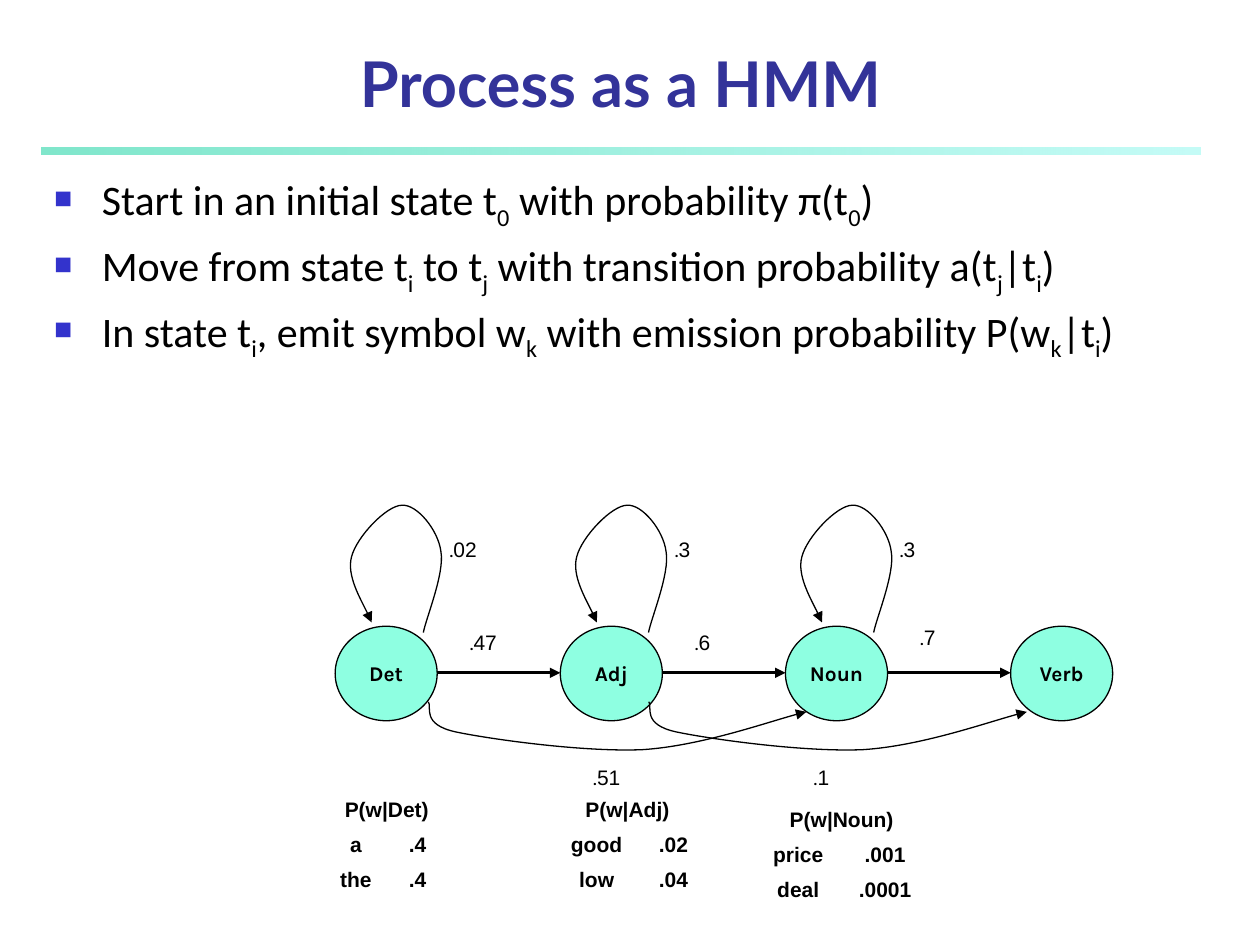
import pptx
import pptx.util
import pptx.dml.color
import pptx.enum.dml
import pptx.enum.shapes
import pptx.enum.text
import pptx.oxml.ns
from lxml import etree

RGBColor = pptx.dml.color.RGBColor
BLACK = RGBColor(0, 0, 0)
TITLE_BLUE = RGBColor(0x33, 0x33, 0x99)
MINT = RGBColor(0x8E, 0xFF, 0xE1)
RULE_COLOURS = [RGBColor(0x00, 0xCE, 0x98), RGBColor(0x8F, 0xF9, 0xEF)]
BULLET_BLUE = RGBColor(0x33, 0x33, 0xCC)
CENTER = pptx.enum.text.PP_ALIGN.CENTER
MIDDLE = pptx.enum.text.MSO_ANCHOR.MIDDLE
SHAPES = pptx.enum.shapes.MSO_SHAPE
qn = pptx.oxml.ns.qn

deck = pptx.Presentation()
deck.slide_width = pptx.util.Inches(10)
deck.slide_height = pptx.util.Inches(7.5)
slide = deck.slides.add_slide(deck.slide_layouts[6])
shapes = slide.shapes
COLUMN = deck.slide_width / 100
ROW = deck.slide_height / 75


def grid(*values):
    return [int(value * (ROW if i % 2 else COLUMN)) for i, value in enumerate(values)]


def add_curve(left, points):
    corners = [tuple(grid(left + x, y)) for x, y in points]
    builder = shapes.build_freeform(*corners[0], scale=1.0)
    builder.add_line_segments(corners[1:], close=False)
    curve = builder.convert_to_shape()
    curve.fill.background()
    outline = next(curve._element.iter(qn("a:path")))
    segments = outline.findall(qn("a:lnTo"))
    for i in range(0, len(segments), 3):
        bezier = etree.SubElement(outline, qn("a:cubicBezTo"))
        for segment in segments[i:i + 3]:
            bezier.append(segment[0])
            outline.remove(segment)
    return curve


rule = shapes.add_shape(SHAPES.RECTANGLE, *grid(3.3, 11.7, 92, 0.6))
rule.shadow.inherit = False
rule.line.fill.background()
rule.fill.gradient()
rule.fill.gradient_angle = 0
for stop, colour, opacity in zip(rule.fill.gradient_stops, RULE_COLOURS, (50, 52)):
    stop.color.rgb = colour
for colour_xml, opacity in zip(rule._element.spPr.iter(qn("a:srgbClr")), (50, 52)):
    etree.SubElement(colour_xml, qn("a:alpha"), val=str(opacity * 1000))

title = shapes.add_textbox(*grid(3.3, 3.3, 91.9, 6.7)).text_frame
title.word_wrap = True
title.vertical_anchor = pptx.enum.text.MSO_ANCHOR.BOTTOM
heading = title.paragraphs[0]
heading.text = "Process as a HMM"
heading.alignment = CENTER
heading.font.name, heading.font.size, heading.font.bold = "Lato", pptx.util.Pt(36), True
heading.font.color.rgb = TITLE_BLUE

steps = [
    "Start in an initial state t_0_ with probability π(t_0_)",
    "Move from state t_i_ to t_j_ with transition probability a(t_j_|t_i_)",
    "In state t_i_, emit symbol w_k_ with emission probability P(w_k_|t_i_)",
]
body = shapes.add_textbox(*grid(3.3, 13.3, 92.5, 57.5)).text_frame
body.word_wrap = True
for i, step in enumerate(steps):
    paragraph = body.add_paragraph() if i else body.paragraphs[0]
    paragraph.space_before = pptx.util.Pt(4.8)
    properties = paragraph._p.get_or_add_pPr()
    properties.set("marL", str(int(3.8 * COLUMN)))
    properties.set("indent", str(int(-3.8 * COLUMN)))
    bullet_colour = etree.SubElement(properties, qn("a:buClr"))
    etree.SubElement(bullet_colour, qn("a:srgbClr"), val=str(BULLET_BLUE))
    etree.SubElement(properties, qn("a:buSzPct"), val="60000")
    etree.SubElement(properties, qn("a:buChar"), char="■")
    paragraph.font.name, paragraph.font.size = "Calibri", pptx.util.Pt(24)
    paragraph.font.color.rgb = BLACK
    for j, part in enumerate(step.split("_")):
        run = paragraph.add_run()
        run.text = part
        if j % 2:
            run.font._element.set("baseline", "-25000")

FIRST_STATE, STATE_PITCH = 26.6, 17.87
STATE_TOP, STATE_WIDTH, STATE_HEIGHT = 49.7, 8.1, 7.5
LOOP = [(7, 50.2), (7.2, 49.1), (8.7, 45.5), (8.4, 43.8), (8.2, 42.1), (6.5, 40),
        (5.3, 40.1), (4.1, 40.1), (1.7, 42.6), (1.3, 44.2), (0.9, 45.7), (2.6, 48.6), (2.9, 49.4)]
SKIP = [(7.4, 55.7), (7.7, 56.1), (6.8, 57.5), (9.6, 58.1), (12.5, 58.7), (19.8, 59.7),
        (24.4, 59.5), (29, 59.2), (35.2, 57), (37.4, 56.5)]
states = [("Det", "02", "47", 49.5), ("Adj", "3", "6", 49.5), ("Noun", "3", "7", 49.1), ("Verb", "", "", 0)]
arrows = []
probabilities = []
for i, (state, stay, move, move_top) in enumerate(states):
    left = FIRST_STATE + i * STATE_PITCH
    right = left + STATE_WIDTH
    node = shapes.add_shape(SHAPES.OVAL, *grid(left, STATE_TOP, STATE_WIDTH, STATE_HEIGHT))
    node.shadow.inherit = False
    node.fill.solid()
    node.fill.fore_color.rgb = MINT
    node.line.color.rgb = BLACK
    node.line.width = pptx.util.Pt(0.75)
    node.text_frame.word_wrap = False
    node.text_frame.vertical_anchor = MIDDLE
    name = node.text_frame.paragraphs[0]
    name.text = state
    name.alignment = CENTER
    name.font.name, name.font.size, name.font.bold = "Karla", pptx.util.Pt(12), True
    name.font.color.rgb = BLACK
    if stay:
        step_arrow = shapes.add_connector(
            pptx.enum.shapes.MSO_CONNECTOR.STRAIGHT, *grid(right, 53.4, left + STATE_PITCH, 53.4))
        arrows += [(step_arrow, 1.5), (add_curve(left, LOOP), 0.75)]
        probabilities += [(stay, right, 42.1), (move, right + 1.6, move_top)]

for left, chance in [(26.6, "51"), (44.1, "1")]:
    arrows.append((add_curve(left, SKIP), 0.75))
    probabilities.append((chance, left + 19.5, 60.2))

for arrow, weight in arrows:
    arrow.line.color.rgb = BLACK
    arrow.line.width = pptx.util.Pt(weight)
    etree.SubElement(arrow.line._get_or_add_ln(), qn("a:tailEnd"), type="triangle")
    etree.SubElement(arrow._element.spPr, qn("a:effectLst"))

for digits, left, top in probabilities:
    label = shapes.add_textbox(*grid(left, top, 2.9 + 1.15 * len(digits), 3.6)).text_frame
    label.word_wrap = False
    paragraph = label.paragraphs[0]
    paragraph.font.size = pptx.util.Pt(12)
    paragraph.font.color.rgb = BLACK
    for text, font in [(".", "Karla"), (digits, "Arial")]:
        run = paragraph.add_run()
        run.text = text
        run.font.name = font

EMISSION_ROW = 2.75
emissions = [
    (25.8, 63.2, (4.9, 4.9), [("P(w|Det)", ""), ("a", ".4"), ("the", ".4")]),
    (43.7, 63.2, (7.3, 4.9), [("P(w|Adj)", ""), ("good", ".02"), ("low", ".04")]),
    (59.9, 64, (6.9, 6.9), [("P(w|Noun)", ""), ("price", ".001"), ("deal", ".0001")]),
]
for left, top, widths, rows in emissions:
    table = shapes.add_table(
        len(rows), 2, *grid(left, top, sum(widths), EMISSION_ROW * len(rows))).table
    table.first_row = table.horz_banding = False
    for column, width in zip(table.columns, widths):
        column.width = int(width * COLUMN)
    table.cell(0, 0).merge(table.cell(0, 1))
    for r, entries in enumerate(rows):
        table.rows[r].height = int(EMISSION_ROW * ROW)
        for c, entry in enumerate(entries):
            cell = table.cell(r, c)
            cell.fill.background()
            cell.margin_left = cell.margin_right = int(0.5 * COLUMN)
            cell.margin_top = cell.margin_bottom = int(0.2 * ROW)
            paragraph = cell.text_frame.paragraphs[0]
            paragraph.text = entry
            paragraph.alignment = CENTER
            paragraph.space_before = pptx.util.Pt(2.4)
            paragraph.font.name, paragraph.font.size, paragraph.font.bold = "Arial", pptx.util.Pt(12), True
            paragraph.font.color.rgb = BLACK

deck.save("out.pptx")
